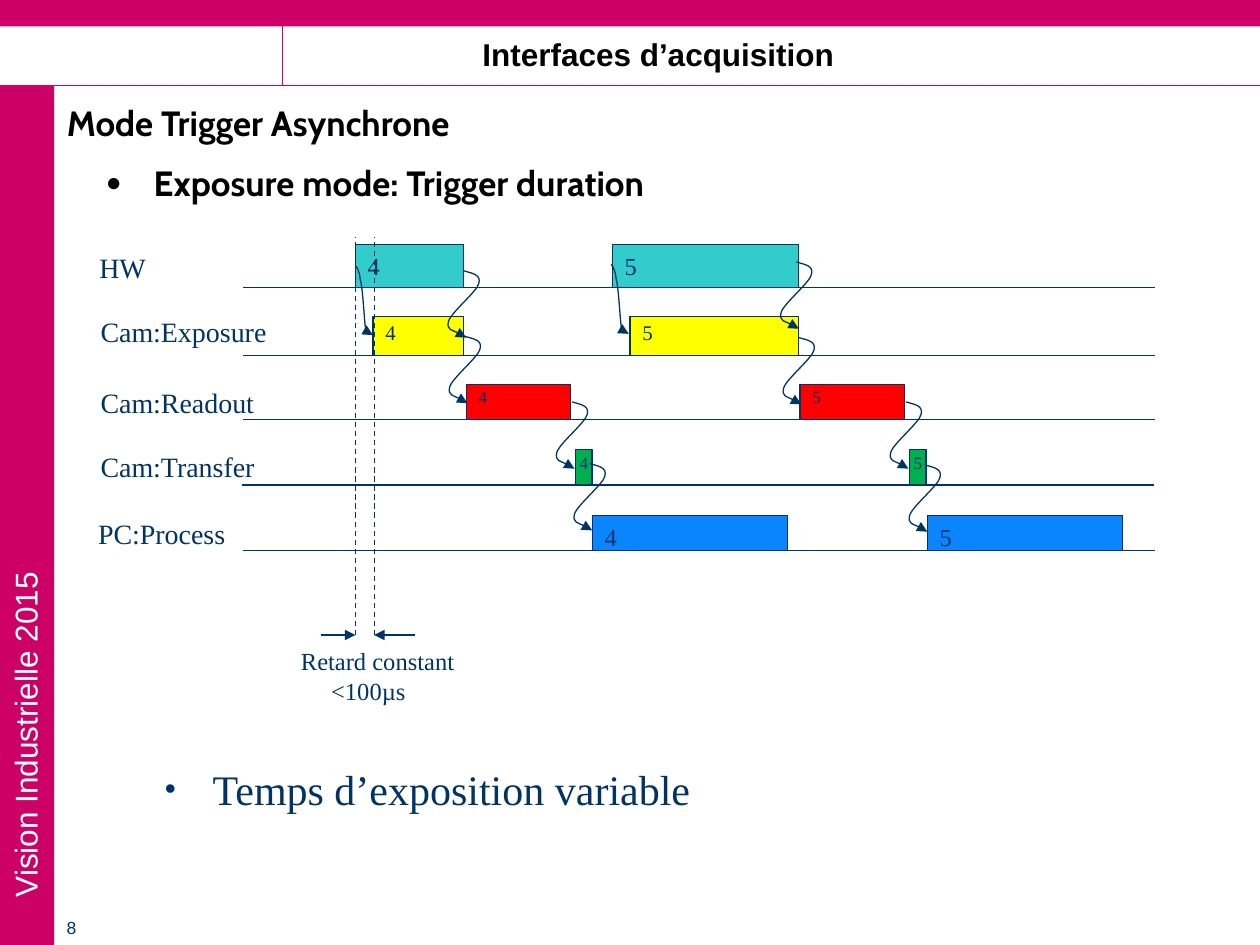
from pptx import Presentation
from pptx.dml.color import RGBColor
from pptx.enum.dml import MSO_LINE
from pptx.enum.shapes import MSO_CONNECTOR, MSO_SHAPE
from pptx.enum.text import MSO_ANCHOR, MSO_AUTO_SIZE, PP_ALIGN
from pptx.oxml.ns import qn
from pptx.util import Inches, Pt
from lxml.etree import SubElement

PINK = RGBColor(0xCC, 0x00, 0x66)
NAVY = RGBColor(0x00, 0x33, 0x66)
BLACK = RGBColor(0x00, 0x00, 0x00)
WHITE = RGBColor(0xFF, 0xFF, 0xFF)
TEAL = RGBColor(0x33, 0xCC, 0xCC)
YELLOW = RGBColor(0xFF, 0xFF, 0x00)
RED = RGBColor(0xFF, 0x00, 0x00)
GREEN = RGBColor(0x00, 0xB0, 0x50)
BLUE = RGBColor(0x0A, 0x85, 0xFF)
SERIF = "Times New Roman"

ROWS = [
    ("HW", 0.69, 1.94, 2.28, 0.34, TEAL, 14, 1, [(2.82, 0.86), (4.86, 1.48)]),
    ("Cam:Exposure", 0.7, 2.45, 2.82, 0.31, YELLOW, 11.9, 0.9, [(2.96, 0.72), (5, 1.34)]),
    ("Cam:Readout", 0.7, 3.01, 3.33, 0.28, RED, 9.8, 0.8, [(3.7, 0.83), (6.35, 0.83)]),
    ("Cam:Transfer", 0.7, 3.52, 3.85, 0.28, GREEN, 9.8, 0.8, [(4.57, 0.13), (7.22, 0.13)]),
    ("PC:Process", 0.68, 4.05, 4.37, 0.28, BLUE, 14, 1, [(4.7, 1.55), (7.36, 1.55)]),
]
FRAMES = ["4", "5"]

WAVE = [
    (0.07, 0.02), (0.14, 0.03), (0.12, 0.1),
    (0.11, 0.16), (-0.1, 0.33), (-0.12, 0.4),
    (-0.14, 0.47), (-0.01, 0.5), (0.02, 0.53),
]
HOOK = [
    (0.01, 0.01), (0.03, 0.03), (0.04, 0.11),
    (0.06, 0.19), (0.07, 0.41), (0.08, 0.49),
    (0.1, 0.56), (0.13, 0.55), (0.14, 0.56),
    (0.15, 0.57), (0.14, 0.56), (0.14, 0.55),
]
ARROWS = [
    (HOOK, [(2.82, 2.11), (4.85, 2.1)]),
    (WAVE, [(3.68, 2.15), (3.69, 2.67), (4.54, 3.19), (4.68, 3.68),
            (6.32, 2.08), (6.34, 2.68), (7.19, 3.19), (7.34, 3.69)]),
]
DELAY = [(2.82, 2.55), (2.97, 3.29)]

deck = Presentation()
deck.slide_width, deck.slide_height = Inches(10), Inches(7.5)
slide = deck.slides.add_slide(deck.slide_layouts[1])
shapes = slide.shapes


def style(para, size, color, face, bold=False):
    for run in para.runs:
        font = run.font
        font.size, font.name, font.bold = Pt(size), face, bold
        font.color.rgb = color


def bullet(para, mark, color):
    props = para._p.get_or_add_pPr()
    props.set("marL", str(Inches(0.38)))
    props.set("indent", str(-Inches(0.38)))
    tint = SubElement(props, qn("a:buClr"))
    SubElement(tint, qn("a:srgbClr")).set("val", str(color))
    SubElement(props, qn("a:buSzPct")).set("val", "75000")
    SubElement(props, qn("a:buFont")).set("typeface", "Arial")
    SubElement(props, qn("a:buChar")).set("char", mark)


def label(text, x, y, w, h, size, color=NAVY, face=SERIF, bold=False):
    box = shapes.add_textbox(Inches(x), Inches(y), Inches(w), Inches(h))
    frame = box.text_frame
    frame.word_wrap = True
    frame.text = text
    for para in frame.paragraphs:
        style(para, size, color, face, bold)
    return box


def block(x, y, w, h, color, edge=None):
    rect = shapes.add_shape(MSO_SHAPE.RECTANGLE, Inches(x), Inches(y), Inches(w), Inches(h))
    rect.shadow.inherit = False
    rect.fill.solid()
    rect.fill.fore_color.rgb = color
    if edge is None:
        rect.line.fill.background()
    else:
        rect.line.color.rgb = edge
        rect.line.width = Pt(0.75)
    return rect


def ink(item, color, head):
    item.line.color.rgb = color
    item.line.width = Pt(0.75)
    if head:
        SubElement(item.line._get_or_add_ln(), qn("a:tailEnd")).set("type", "triangle")


def rule(x1, y1, x2, y2, color=NAVY, head=False, dash=False):
    line = shapes.add_connector(MSO_CONNECTOR.STRAIGHT, Inches(x1), Inches(y1), Inches(x2), Inches(y2))
    line.line.color.rgb = color
    if dash:
        line.line.dash_style = MSO_LINE.DASH
    ink(line, color, head)
    SubElement(line._element.spPr, qn("a:effectLst"))


def swoop(knots, x, y):
    pen = shapes.build_freeform(Inches(x), Inches(y))
    pen.add_line_segments([(Inches(x + dx), Inches(y + dy)) for dx, dy in knots], close=False)
    curve = pen.convert_to_shape()
    curve.shadow.inherit = False
    curve.fill.background()
    ink(curve, NAVY, True)
    legs = list(curve._element.iter(qn("a:lnTo")))
    route = legs[0].getparent()
    for n in range(0, len(legs), 3):
        bend = SubElement(route, qn("a:cubicBezTo"))
        for leg in legs[n:n + 3]:
            bend.append(leg[0])
            route.remove(leg)


block(0, 0.68, 0.43, 6.82, PINK)
block(0, 0, 10, 0.21, PINK)
rule(0, 0.68, 10, 0.68, PINK)
rule(2.24, 0.68, 2.24, 0, PINK)
side = label("Vision Industrielle 2015", -1.85, 4.97, 4.1, 0.4, 18, WHITE, "Arial")
side.rotation = 270
label("8", 0.43, 7.23, 0.47, 0.27, 10, face="Arial")
head = label("Interfaces d’acquisition", 2.31, 0.23, 5.83, 0.4, 18, BLACK, "Arial", True)
head.text_frame.paragraphs[0].alignment = PP_ALIGN.CENTER

HOLDERS = [
    ("Mode Trigger Asynchrone", (0.43, 0.76, 9.45, 0.47), MSO_ANCHOR.MIDDLE, 0.9, None),
    ("Exposure mode: Trigger duration", (0.74, 1.23, 9.06, 5.91), MSO_ANCHOR.TOP, 1, "●"),
]
for holder, (text, spot, anchor, gap, mark) in zip(slide.placeholders, HOLDERS):
    holder.left, holder.top, holder.width, holder.height = map(Inches, spot)
    frame = holder.text_frame
    frame.text = text
    frame.auto_size = MSO_AUTO_SIZE.NONE
    frame.vertical_anchor = anchor
    para = frame.paragraphs[0]
    para.alignment = PP_ALIGN.LEFT
    para.line_spacing = gap
    para.space_before = Pt(0)
    if mark:
        bullet(para, mark, BLACK)
    style(para, 20, BLACK, "Cabin", True)

for name, x, y, base, tall, color, size, gap, bars in ROWS:
    shift = -0.01 if color == GREEN else 0
    rule(1.93 + shift, base, 9.17 + shift, base)
    label(name, x, y, 1.6, 0.37, 16)
    for mark, (left, wide) in zip(FRAMES, bars):
        bar = block(left, base - tall, wide, tall, color, NAVY)
        frame = bar.text_frame
        frame.text = mark
        frame.vertical_anchor = MSO_ANCHOR.TOP
        para = frame.paragraphs[0]
        para.alignment = PP_ALIGN.LEFT
        para.line_spacing = gap
        style(para, size, NAVY, SERIF)

for edge, start in DELAY:
    rule(edge, 5.04, edge, 1.88, dash=True)
    rule(start, 5.04, edge, 5.04, head=True)
for knots, spots in ARROWS:
    for x, y in spots:
        swoop(knots, x, y)

delay = label("Retard constant\n<100µs", 2.29, 5.08, 1.5, 0.57, 14)
delay.text_frame.paragraphs[1]._p.get_or_add_pPr().set("marL", str(Inches(0.24)))
note = label("Temps d’exposition variable", 1.21, 6.01, 4.6, 0.5, 24)
bullet(note.text_frame.paragraphs[0], "•", NAVY)

deck.save("out.pptx")
